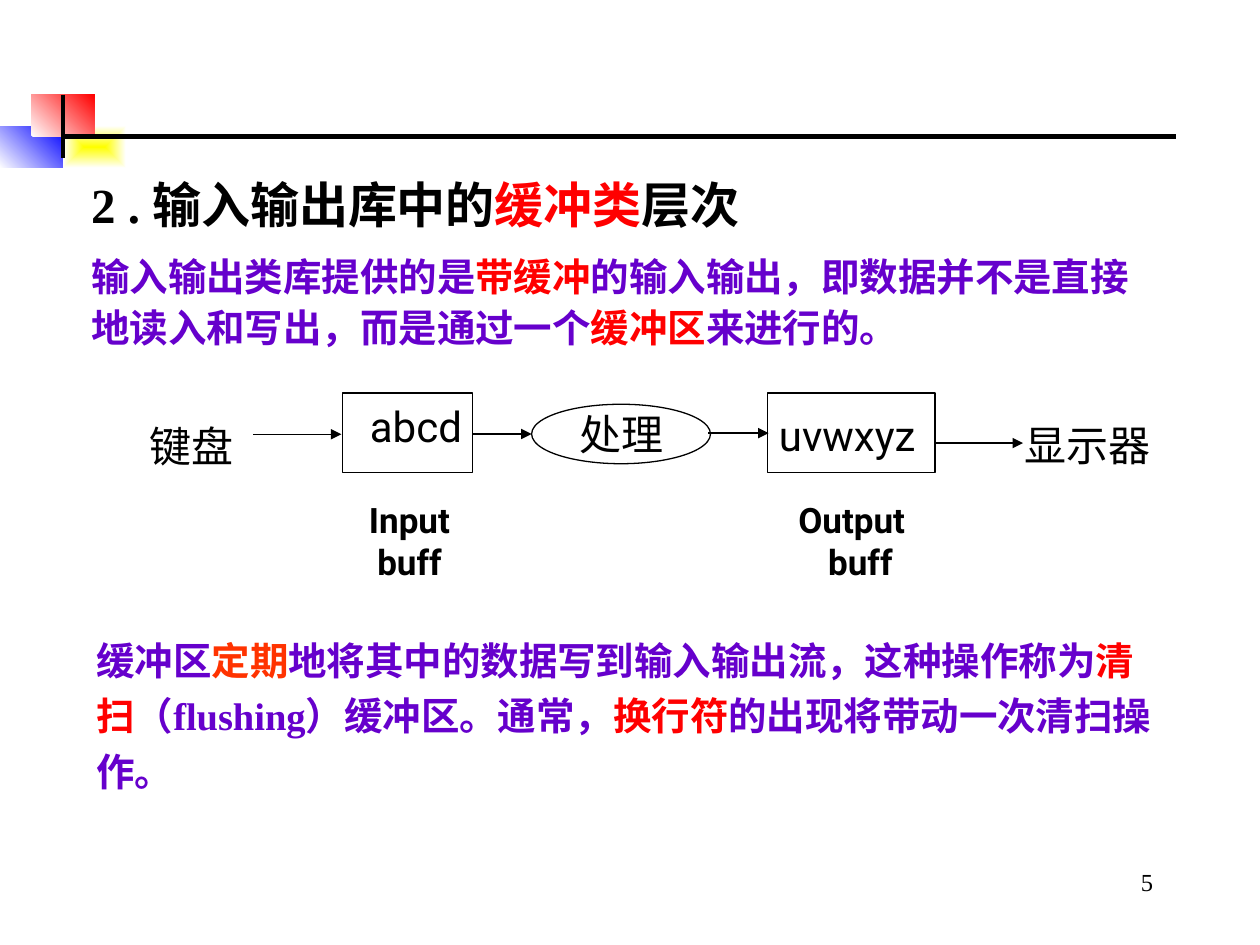
from lxml.etree import SubElement
from pptx import Presentation
from pptx.dml.color import RGBColor
from pptx.enum.shapes import MSO_CONNECTOR, MSO_SHAPE
from pptx.enum.text import MSO_ANCHOR, PP_ALIGN
from pptx.oxml import parse_xml
from pptx.oxml.ns import nsdecls, qn
from pptx.util import Pt

BLACK = RGBColor(0x00, 0x00, 0x00)
WHITE = RGBColor(0xFF, 0xFF, 0xFF)
RED = RGBColor(0xFF, 0x00, 0x00)
ORANGE = RGBColor(0xFF, 0x33, 0x00)
BLUE = RGBColor(0x00, 0x00, 0xFF)
YELLOW = RGBColor(0xFF, 0xFF, 0x00)
PURPLE = RGBColor(0x66, 0x00, 0xCC)
SERIF = "Times New Roman"
SANS = "Roboto"


def write(frame, runs, first=True, size=24, font=SANS, bold=False,
          align=PP_ALIGN.LEFT, before=0, after=0, lines=1.0):
    """Write one paragraph made of (text, color) runs."""
    para = frame.paragraphs[0] if first else frame.add_paragraph()
    para.alignment = align
    para.space_before, para.space_after = Pt(before), Pt(after)
    para.line_spacing = lines
    for text, color in runs:
        run = para.add_run()
        run.text = text
        run.font.name, run.font.size = font, Pt(size)
        run.font.bold = bold
        run.font.color.rgb = color


class Deck:
    """Holds the style and the current slide; lengths are in points."""

    thin, thick = 0.75, 2.5

    def __init__(self, slide):
        self.shapes = slide.shapes

    def box(self, x, y, w, h, wrap=True):
        frame = self.shapes.add_textbox(Pt(x), Pt(y), Pt(w), Pt(h)).text_frame
        frame.word_wrap = wrap
        return frame

    def label(self, text, x, y, w, h, wrap=True, **form):
        frame = self.box(x, y, w, h, wrap)
        for i, line in enumerate(text.split("\n")):
            write(frame, [(line, BLACK)], first=i == 0,
                  **{"align": PP_ALIGN.CENTER, **form})

    def shape(self, kind, x, y, w, h):
        shape = self.shapes.add_shape(kind, Pt(x), Pt(y), Pt(w), Pt(h))
        shape.shadow.inherit = False
        return shape

    def frame(self, kind, x, y, w, h):
        shape = self.shape(kind, x, y, w, h)
        shape.fill.background()
        shape.line.color.rgb = BLACK
        shape.line.width = Pt(self.thin)
        return shape.text_frame

    def tile(self, x, y, start, end, radial=False):
        shape = self.shape(MSO_SHAPE.RECTANGLE, x, y, 36, 24)
        shape.line.fill.background()
        shape.fill.gradient()
        shape.fill.gradient_angle = 45
        for stop, color, place in zip(shape.fill.gradient_stops,
                                      (start, end), (0, 1)):
            stop.color.rgb, stop.position = color, place
        if radial:
            grad = shape._element.spPr.find(qn("a:gradFill"))
            grad.replace(grad.find(qn("a:lin")), parse_xml(
                f'<a:path {nsdecls("a")} path="rect"><a:fillToRect l="50000" '
                't="50000" r="50000" b="50000"/></a:path>'))

    def line(self, x1, y1, x2, y2, width=thin, arrow=False):
        line = self.shapes.add_connector(
            MSO_CONNECTOR.STRAIGHT, Pt(x1), Pt(y1), Pt(x2), Pt(y2))
        line.line.color.rgb = BLACK
        line.line.width = Pt(width)
        if arrow:
            SubElement(line.line._get_or_add_ln(), qn("a:tailEnd"),
                       type="triangle")
        SubElement(line._element.spPr, qn("a:effectLst"))


def main():
    prs = Presentation()
    prs.slide_width, prs.slide_height = Pt(720), Pt(540)
    deck = Deck(prs.slides.add_slide(prs.slide_layouts[6]))

    # Corner ornament and rules
    deck.tile(0, 72, WHITE, BLUE)
    deck.tile(36, 72, YELLOW, WHITE, radial=True)
    deck.tile(18, 54, WHITE, RED)
    deck.line(36, 78, 672, 78, deck.thick)
    deck.line(36, 54, 36, 90, deck.thick)

    # Heading and introduction
    prose = dict(size=22, font=SERIF, bold=True)
    intro = deck.box(45, 96, 627, 112)
    write(intro, [("2 . 输入输出库中的", BLACK), ("缓冲类", RED),
                  ("层次", BLACK)], **{**prose, "size": 28}, after=3)
    write(intro, [
        ("输入输出类库提供的是", PURPLE), ("带缓冲", RED),
        ("的输入输出，即数据并不是直接地读入和写出，而是通过一个", PURPLE),
        ("缓冲区", RED), ("来进行的。", PURPLE),
    ], first=False, before=6, lines=1.1, **prose)

    # Closing paragraph
    write(deck.box(48, 355, 624, 137), [
        ("缓冲区", PURPLE), ("定期", ORANGE),
        ("地将其中的数据写到输入输出流，这种操作称为", PURPLE),
        ("清扫", RED), ("（flushing）缓冲区。通常，", PURPLE),
        ("换行符", RED), ("的出现将带动一次清扫操作。", PURPLE),
    ], lines=1.2, **prose)

    # Buffer boxes and the process between them
    deck.frame(MSO_SHAPE.RECTANGLE, 195.8, 224.6, 74.2, 45.4)
    deck.frame(MSO_SHAPE.RECTANGLE, 438.5, 224.6, 95.8, 45.4)
    step = deck.frame(MSO_SHAPE.OVAL, 303.8, 231, 102.2, 34)
    step.word_wrap = False
    step.vertical_anchor = MSO_ANCHOR.MIDDLE
    write(step, [("处理", BLACK)], align=PP_ALIGN.CENTER)

    # Flow labels
    deck.label("键盘", 73.4, 237, 72, 36)
    deck.label("abcd", 201, 225.4, 73.4, 36)
    deck.label("uvwxyz", 433.4, 230.4, 101.5, 36)
    deck.label("显示器", 578.2, 236.2, 86.4, 36, wrap=False)
    deck.label("Input buff", 191.5, 281.5, 85, 55.4, size=20, bold=True)
    deck.label("Output \n buff", 433.4, 281.5, 111.6, 55.4, size=20, bold=True)

    # Flow arrows
    for left, right, y in ((144.7, 195.1, 248.2), (270, 303.8, 248),
                           (404.6, 439.2, 247.5), (534.2, 584.6, 253.2)):
        deck.line(left, y, right, y, arrow=True)

    # Page number
    deck.label("5", 516, 492, 150, 36, size=14, font=SERIF,
               align=PP_ALIGN.RIGHT)

    prs.save("out.pptx")


if __name__ == "__main__":
    main()
